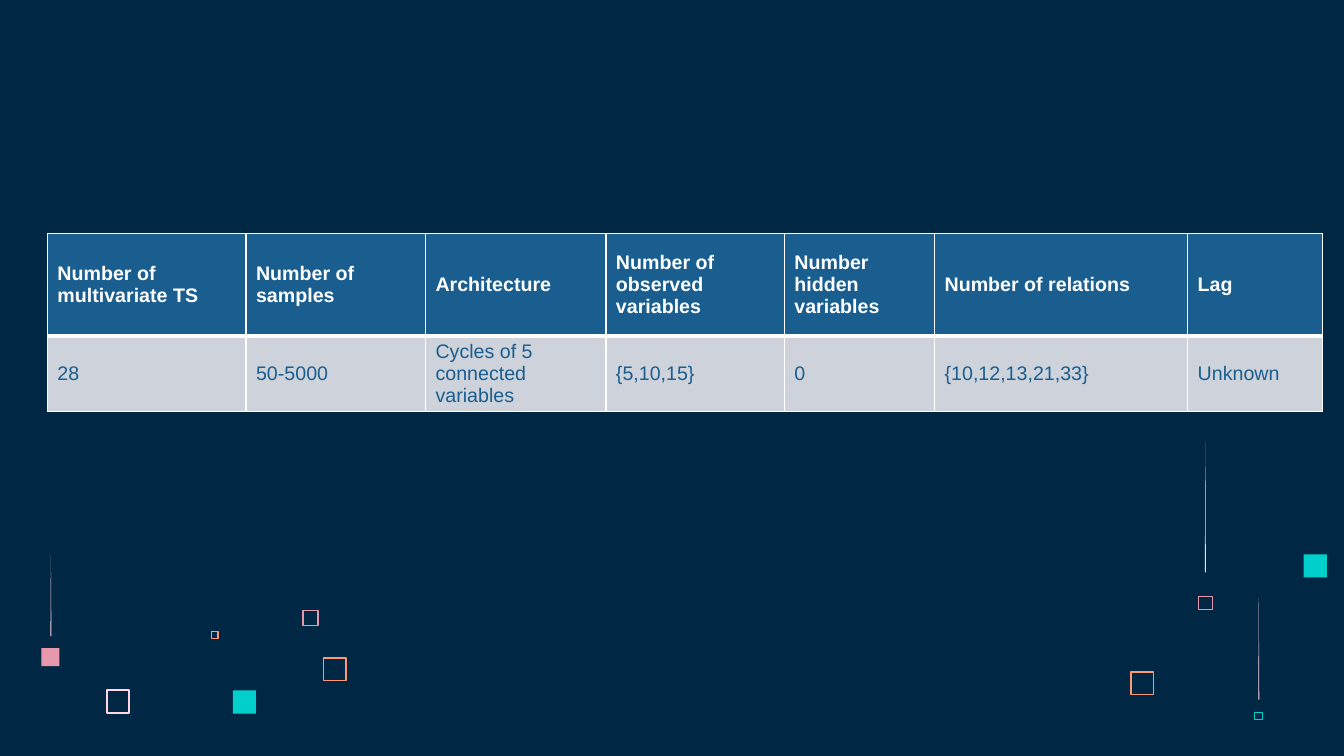
from typing import NamedTuple

from lxml.etree import SubElement
from pptx import Presentation
from pptx.dml.color import RGBColor
from pptx.enum.shapes import MSO_SHAPE
from pptx.enum.text import MSO_ANCHOR
from pptx.oxml.ns import qn
from pptx.util import Inches, Pt

COLORS = {
    "navy": "002845",
    "blue": "1A5E8F",
    "grey": "CDD2DB",
    "white": "FFFFFF",
    "blush": "FFD6E1",
    "pink": "E898AC",
    "orange": "FF9973",
    "teal": "00CFCC",
}


class Square(NamedTuple):
    left: float
    top: float
    size: float
    color: str
    line: float = 0


class Streak(NamedTuple):
    left: float
    top: float
    height: float


class Column(NamedTuple):
    width: float
    heading: str
    value: str


class RowStyle(NamedTuple):
    height: float
    fill: str
    color: str
    bold: bool
    bottom: float


SQUARES = [
    Square(1.05, 6.84, 0.24, "blush", 1.2),
    Square(3, 6.05, 0.16, "pink", 1),
    Square(2.09, 6.26, 0.08, "orange", 1),
    Square(3.2, 6.52, 0.24, "orange", 1),
    Square(2.31, 6.85, 0.23, "teal"),
    Square(11.88, 5.91, 0.14, "pink", 0.23),
    Square(0.41, 6.43, 0.18, "pink"),
    Square(12.44, 7.06, 0.08, "teal", 0.23),
    Square(11.21, 6.66, 0.24, "orange", 1),
    Square(12.93, 5.5, 0.23, "teal"),
]
STREAKS = [
    Streak(11.95, 4.38, 1.3),
    Streak(0.5, 5.5, 0.81),
    Streak(12.48, 5.93, 1.01),
]
COLUMNS = [
    Column(1.97, "Number of multivariate TS", "28"),
    Column(1.78, "Number of samples", "50-5000"),
    Column(1.79, "Architecture", "Cycles of 5 connected variables"),
    Column(1.77, "Number of observed variables", "{5,10,15}"),
    Column(1.49, "Number hidden variables", "0"),
    Column(2.51, "Number of relations", "{10,12,13,21,33}"),
    Column(1.34, "Lag", "Unknown"),
]
ROW_STYLES = [
    RowStyle(1.01, "blue", "white", True, 3),
    RowStyle(0.75, "grey", "blue", False, 1),
]


def rgb(name: str) -> RGBColor:
    return RGBColor.from_string(COLORS[name])


def paint(target, color: str) -> None:
    target.fill.solid()
    target.fill.fore_color.rgb = rgb(color)


def add_square(s, square: Square) -> None:
    inset = Pt(square.line) // 2
    side = Inches(square.size) - 2 * inset
    sp = s.shapes.add_shape(
        MSO_SHAPE.RECTANGLE,
        Inches(square.left) + inset, Inches(square.top) + inset, side, side,
    )
    sp.shadow.inherit = False
    if square.line:
        sp.fill.background()
        sp.line.color.rgb = rgb(square.color)
        sp.line.width = Pt(square.line)
    else:
        paint(sp, square.color)
        sp.line.fill.background()


def add_streak(s, streak: Streak) -> None:
    left, top, width = Inches(streak.left), Inches(streak.top), Inches(0.01)
    bottom = top + Inches(streak.height)
    builder = s.shapes.build_freeform(left + width // 2, top)
    builder.add_line_segments([(left, bottom), (left + width, bottom)])
    sp = builder.convert_to_shape()
    sp.shadow.inherit = False
    paint(sp, "blush")
    sp.line.fill.background()


def add_borders(cell, top: float, bottom: float) -> None:
    tc_pr = cell._tc.get_or_add_tcPr()
    for side, width in (("L", 1), ("R", 1), ("T", top), ("B", bottom)):
        ln = SubElement(tc_pr, qn(f"a:ln{side}"), w=str(Pt(width)))
        fill = SubElement(ln, qn("a:solidFill"))
        SubElement(fill, qn("a:srgbClr"), val=COLORS["white"])


def fill_cell(cell, text: str, style: RowStyle, top: float) -> None:
    cell.text = text
    cell.vertical_anchor = MSO_ANCHOR.MIDDLE
    p = cell.text_frame.paragraphs[0]
    p.font.name = "Arial"
    p.font.size = Pt(14)
    p.font.bold = style.bold
    p.font.color.rgb = rgb(style.color)
    add_borders(cell, top, style.bottom)
    paint(cell, style.fill)


def add_data_table(s, left: float, top: float) -> None:
    width = sum(column.width for column in COLUMNS)
    height = sum(style.height for style in ROW_STYLES)
    table = s.shapes.add_table(
        len(ROW_STYLES), len(COLUMNS),
        Inches(left), Inches(top), Inches(width), Inches(height),
    ).table
    for i, column in enumerate(COLUMNS):
        table.columns[i].width = Inches(column.width)
    border = 1
    for i, style in enumerate(ROW_STYLES):
        table.rows[i].height = Inches(style.height)
        for j, column in enumerate(COLUMNS):
            text = (column.heading, column.value)[i]
            fill_cell(table.cell(i, j), text, style, border)
        border = style.bottom


prs = Presentation()
prs.slide_width = Inches(13.33)
prs.slide_height = Inches(7.5)
s = prs.slides.add_slide(prs.slide_layouts[6])
paint(s.background, "navy")

for square in SQUARES:
    add_square(s, square)
for streak in STREAKS:
    add_streak(s, streak)
add_data_table(s, 0.47, 2.32)

prs.save("out.pptx")
